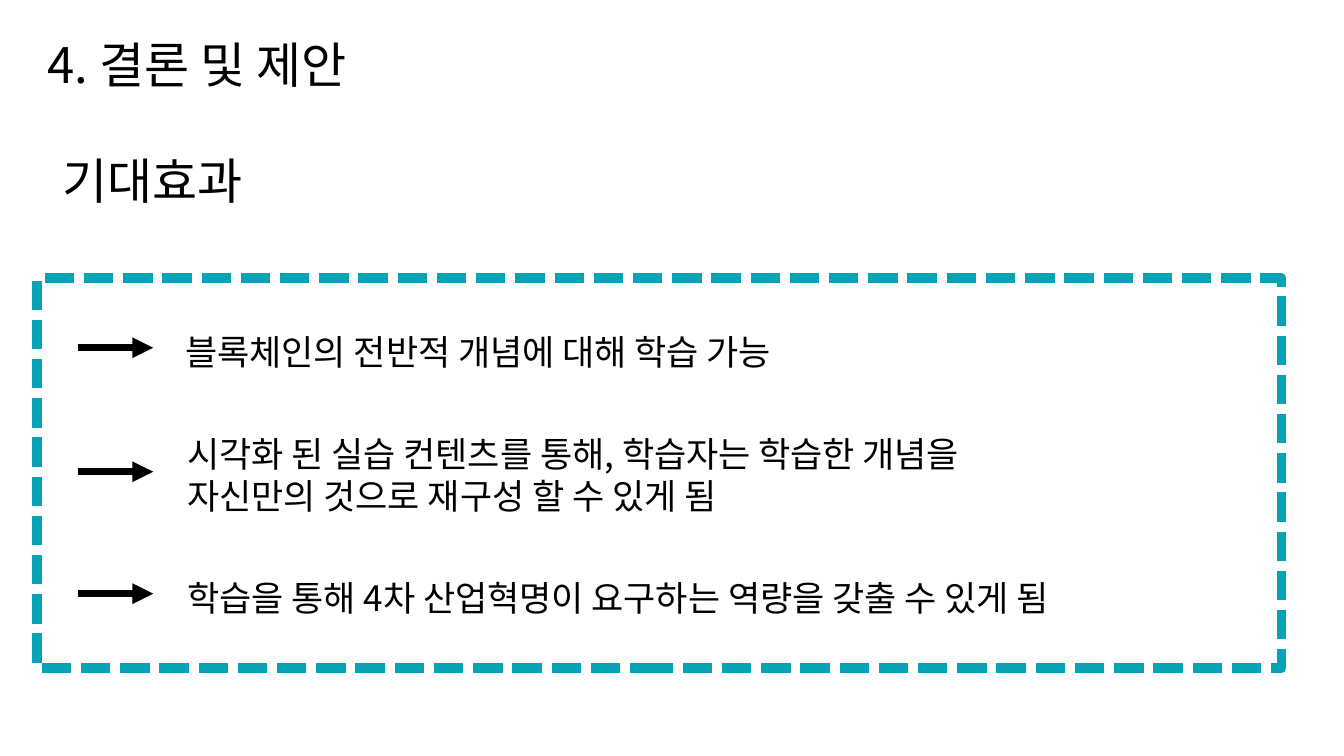
from lxml import etree
from pptx import Presentation
from pptx.dml.color import RGBColor
from pptx.enum.dml import MSO_LINE
from pptx.enum.shapes import MSO_CONNECTOR, MSO_SHAPE
from pptx.enum.text import MSO_AUTO_SIZE
from pptx.oxml.ns import qn
from pptx.util import Pt

PX = 9144  # 100 px to the inch
FONT = "Noto Sans CJK KR"
BLACK, TEAL = "000000", "06A3B6"
DASH = MSO_LINE.SQUARE_DOT
RECTANGLE = MSO_SHAPE.RECTANGLE
STRAIGHT = MSO_CONNECTOR.STRAIGHT
GROW = MSO_AUTO_SIZE.SHAPE_TO_FIT_TEXT

TITLES = [
    ((37, 29, 328, 69), "4. 결론 및 제안"),
    ((52, 144, 374, 69), "기대효과"),
]
# Arrow height, text box, lines of text
EFFECTS = [
    (345, (174, 323, 665, 52), ["블록체인의 전반적 개념에 대해 학습 가능"]),
    (468, (176, 424, 1090, 94), ["시각화 된 실습 컨텐츠를 통해, 학습자는 학습한 개념을",
                                 "자신만의 것으로 재구성 할 수 있게 됨"]),
    (589, (176, 567, 896, 52), ["학습을 통해 4차 산업혁명이 요구하는 역량을 갖출 수 있게 됨"]),
]


def px(*lengths):
    return [length * PX for length in lengths]


def colour(value):
    return RGBColor.from_string(value)


def add_text(page, place, lines, size):
    frame = page.shapes.add_textbox(*px(*place)).text_frame
    for name, value in {"word_wrap": True, "auto_size": GROW}.items():
        setattr(frame, name, value)
    for index, line in enumerate(lines):
        para = frame.add_paragraph() if index else frame.paragraphs[0]
        span = para.add_run()
        span.text = line
        for name, value in {"size": Pt(size), "name": FONT}.items():
            setattr(span.font, name, value)
        span.font.color.rgb = colour(BLACK)
        # Korean letters take the East Asian typeface
        etree.SubElement(span.font._element, qn("a:ea"), typeface=FONT)


def add_frame(page, place):
    box = page.shapes.add_shape(RECTANGLE, *px(*place))
    box.shadow.inherit = False
    box.fill.background()
    box.line.color.rgb = colour(TEAL)
    for name, value in {"width": Pt(7), "dash_style": DASH}.items():
        setattr(box.line, name, value)


def add_arrow(page, left, right, y):
    arrow = page.shapes.add_connector(STRAIGHT, *px(left, y, right, y))
    arrow.line.color.rgb = colour(BLACK)
    arrow.line.width = Pt(5)
    etree.SubElement(arrow.line._get_or_add_ln(), qn("a:tailEnd"), type="triangle")
    etree.SubElement(arrow._element.spPr, qn("a:effectLst"))


def main():
    deck = Presentation()
    deck.slide_width, deck.slide_height = px(1333, 750)
    page = deck.slides.add_slide(deck.slide_layouts[6])

    # Dashed frame
    add_frame(page, (37, 276, 1234, 387))

    # Headings
    for place, title in TITLES:
        add_text(page, place, [title], 35)

    # Expected effects
    for arrow_y, place, lines in EFFECTS:
        add_arrow(page, 77, 152, arrow_y)
        add_text(page, place, lines, 25)

    deck.save("out.pptx")


if __name__ == "__main__":
    main()
